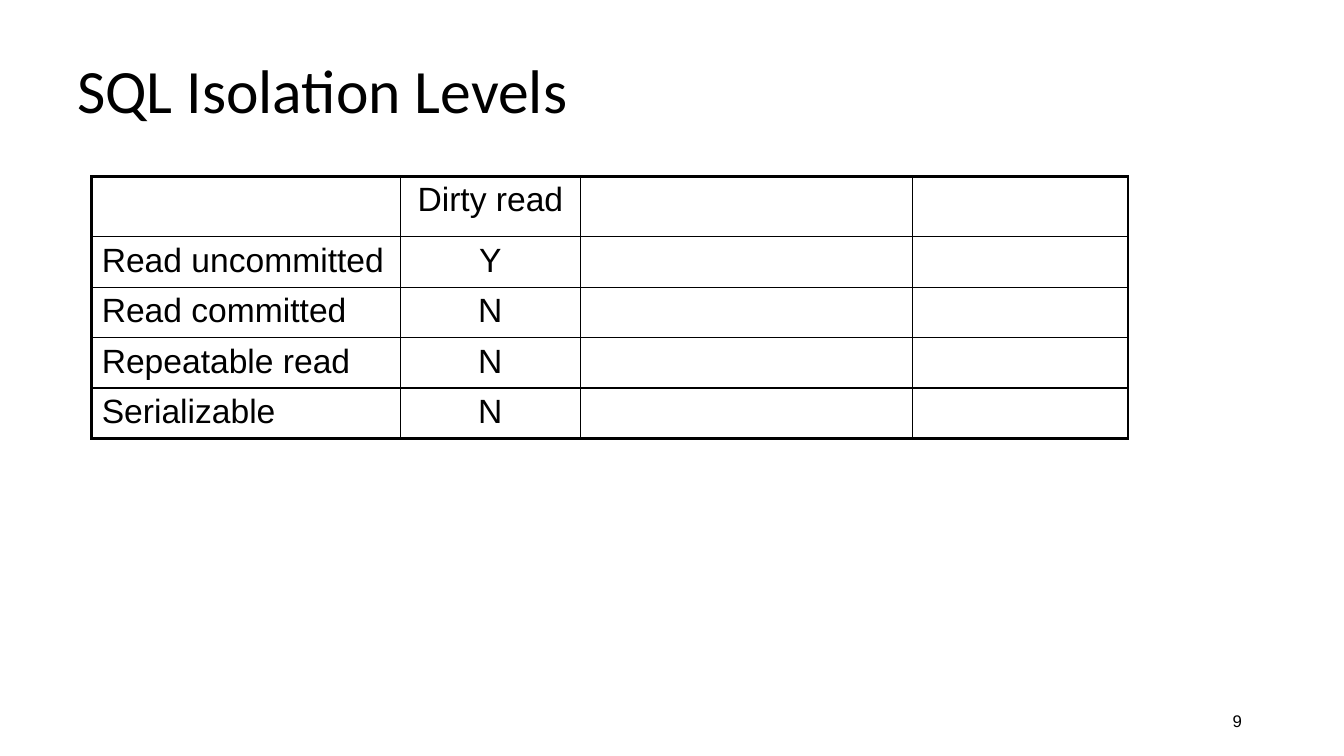
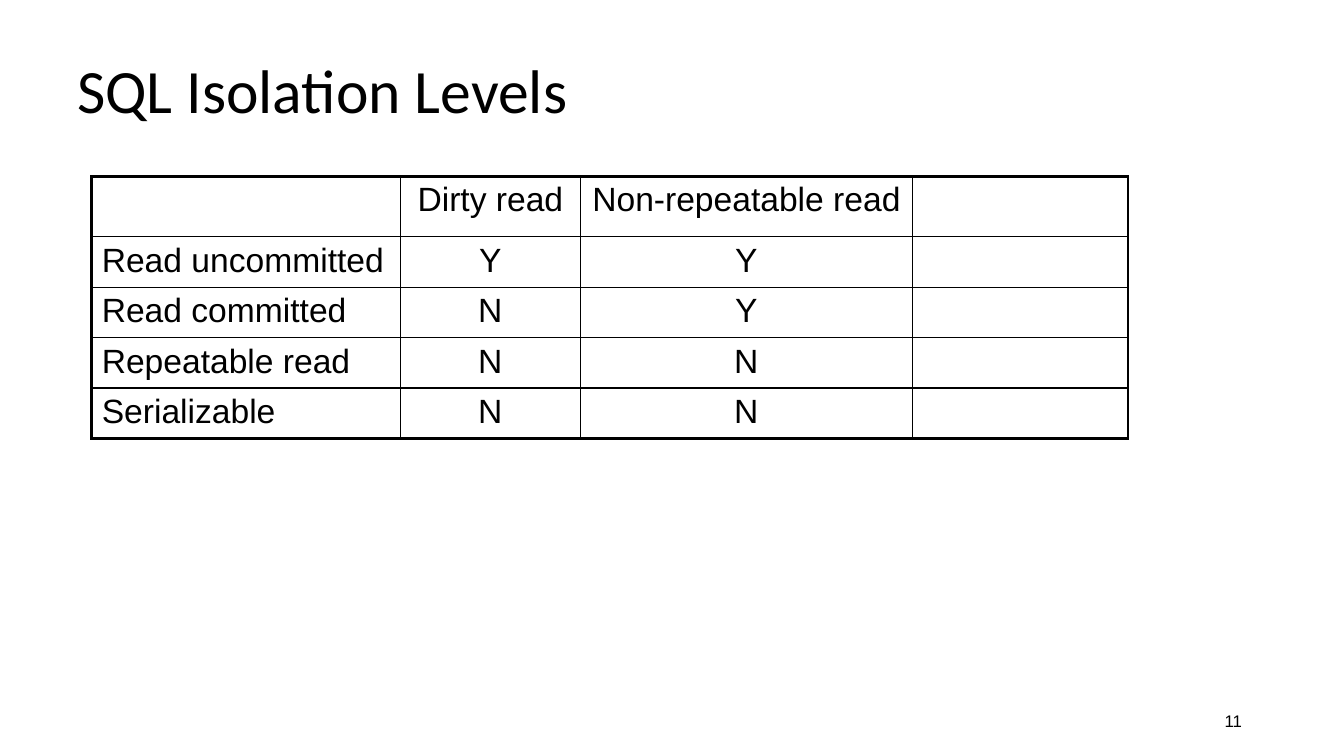
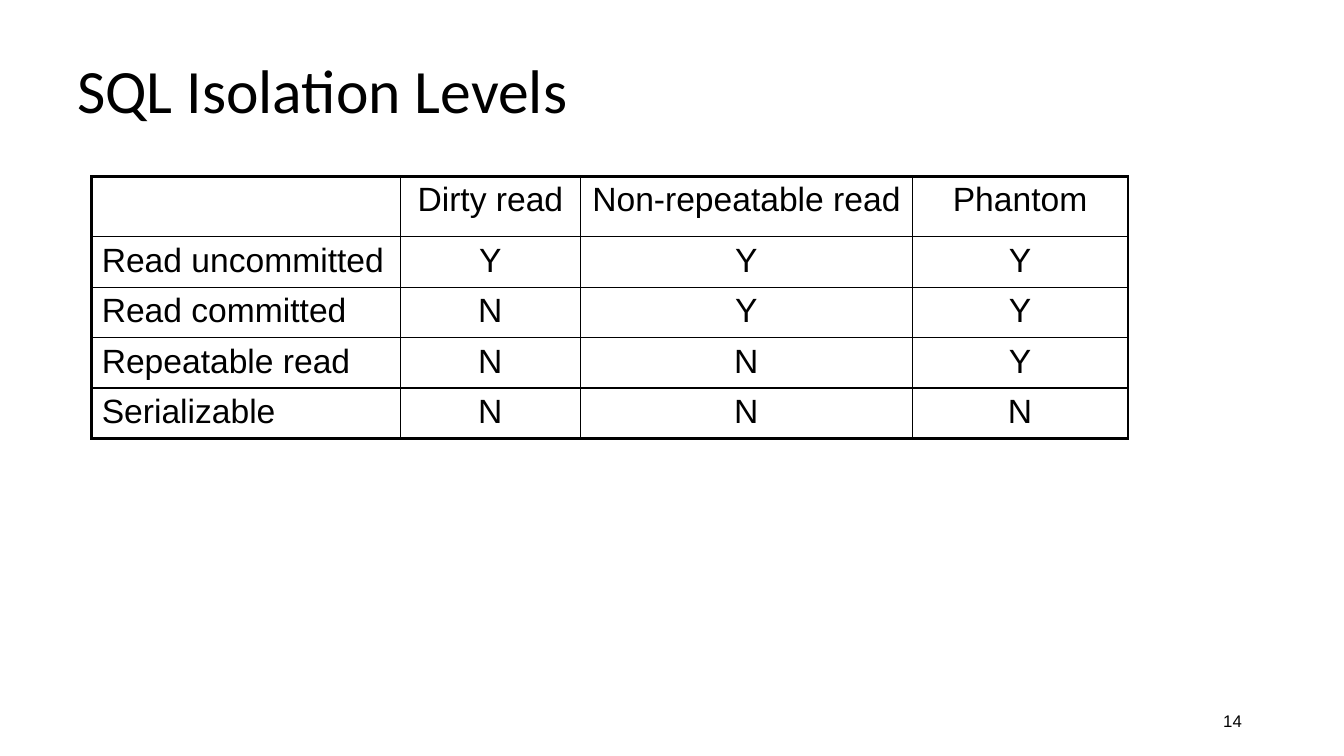
from dataclasses import dataclass

from lxml import etree
from pptx import Presentation
from pptx.dml.color import RGBColor
from pptx.enum import text
from pptx.oxml import ns
from pptx.util import Pt


@dataclass(frozen=True)
class Theme:
    ink: str = "000000"
    head: str = "Calibri"
    body: str = "Arial"
    title: float = 44
    cell: float = 24
    foot: float = 12
    thin: float = 1
    thick: float = 2.25


@dataclass(frozen=True)
class Box:
    left: float
    top: float
    width: float
    height: float

    def lengths(self) -> list:
        return [Pt(n) for n in (self.left, self.top, self.width, self.height)]


@dataclass(frozen=True)
class Page:
    number: int
    shown: int  # answer columns filled in so far


THEME = Theme()
LEFT, MID, RIGHT = text.PP_ALIGN.LEFT, text.PP_ALIGN.CENTER, text.PP_ALIGN.RIGHT

TITLE = "SQL Isolation Levels"
GRID = (
    ("", "Dirty read", "Non-repeatable read", "Phantom"),
    ("Read uncommitted", "Y", "Y", "Y"),
    ("Read committed", "N", "Y", "Y"),
    ("Repeatable read", "N", "N", "Y"),
    ("Serializable", "N", "N", "N"),
)
COLS = (220.3, 128.9, 236.9, 154.1)
ROWS = (43.2, 36, 36, 36, 36)

TITLE_BOX = Box(48, 21.6, 864, 90)
TABLE_BOX = Box(65.5, 126, sum(COLS), sum(ROWS))
FOOT_BOX = Box(678.2, 500.4, 216, 28.8)

PAGES = (Page(9, 1), Page(11, 2), Page(14, 3))


def write(frame, words: str, face: str, size: float, align):
    """Put one run in the frame's first paragraph and return the paragraph."""
    para = frame.paragraphs[0]
    para.alignment = align
    run = para.add_run()
    run.text = words
    run.font.name = face
    run.font.size = Pt(size)
    run.font.color.rgb = RGBColor.from_string(THEME.ink)
    return para


def edge(cell, side: str, width: float) -> None:
    """Draw one border; side is L, R, T or B."""
    props = cell._tc.get_or_add_tcPr()
    line = etree.SubElement(props, ns.qn(f"a:ln{side}"), w=str(Pt(width)))
    fill = etree.SubElement(line, ns.qn("a:solidFill"))
    etree.SubElement(fill, ns.qn("a:srgbClr"), val=THEME.ink)


def add_title(slide) -> None:
    title = slide.shapes.title
    title.left, title.top, title.width, title.height = TITLE_BOX.lengths()
    title.text_frame.vertical_anchor = text.MSO_ANCHOR.MIDDLE
    para = write(title.text_frame, TITLE, THEME.head, THEME.title, LEFT)
    para.line_spacing = 0.9


def add_grid(slide, shown: int) -> None:
    """Draw the table with its first answer columns filled in."""
    table = slide.shapes.add_table(len(ROWS), len(COLS), *TABLE_BOX.lengths()).table
    table.first_row = table.horz_banding = False
    for col, width in zip(table.columns, COLS):
        col.width = Pt(width)
    for row, height in zip(table.rows, ROWS):
        row.height = Pt(height)

    for r, line in enumerate(GRID):
        for c, words in enumerate(line):
            cell = table.cell(r, c)
            outer = {
                "L": c == 0,
                "R": c == len(COLS) - 1,
                "T": r == 0,
                "B": r == len(ROWS) - 1,
            }
            for side, rim in outer.items():
                edge(cell, side, THEME.thick if rim else THEME.thin)
            cell.fill.background()
            if words and c <= shown:
                align = MID if c else LEFT
                write(cell.text_frame, words, THEME.body, THEME.cell, align)


def add_number(slide, number: int) -> None:
    frame = slide.shapes.add_textbox(*FOOT_BOX.lengths()).text_frame
    frame.word_wrap = True
    frame.vertical_anchor = text.MSO_ANCHOR.MIDDLE
    write(frame, str(number), THEME.body, THEME.foot, RIGHT)


def main() -> None:
    deck = Presentation()
    deck.slide_width, deck.slide_height = Pt(960), Pt(540)
    layout = deck.slide_layouts.get_by_name("Title Only")
    for page in PAGES:
        slide = deck.slides.add_slide(layout)
        add_title(slide)
        add_grid(slide, page.shown)
        add_number(slide, page.number)
    deck.save("out.pptx")


if __name__ == "__main__":
    main()
